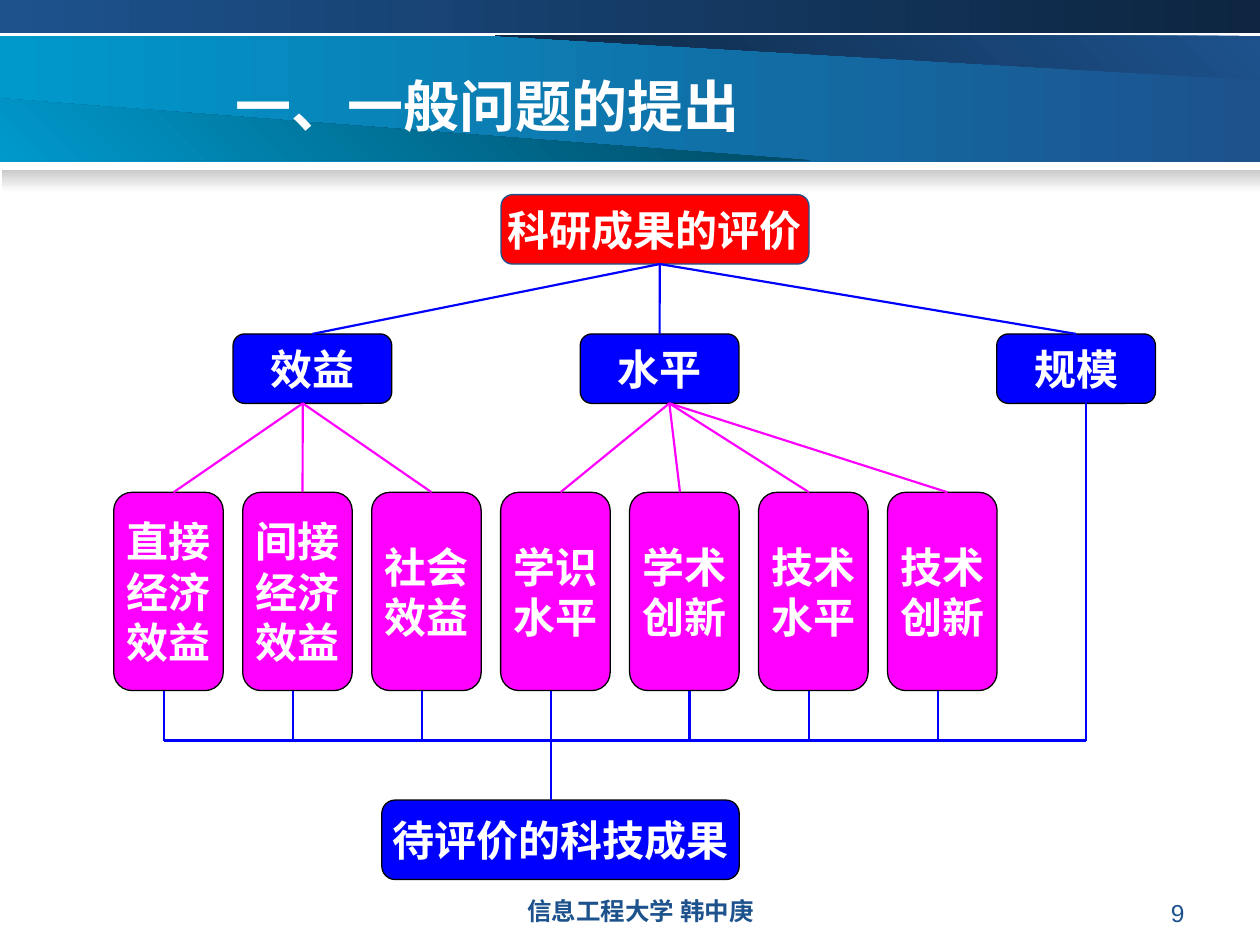
from dataclasses import dataclass
from typing import Any, Optional

from lxml.etree import SubElement
from pptx import Presentation
from pptx.dml.color import RGBColor
from pptx.enum.shapes import MSO_CONNECTOR, MSO_SHAPE
from pptx.enum.text import MSO_ANCHOR, PP_ALIGN
from pptx.oxml.ns import qn
from pptx.util import Pt


@dataclass(frozen=True)
class Theme:
    navy: str = "0D2540"
    blue: str = "1D528D"
    cyan: str = "0099CC"
    teal: str = "00465E"
    gray: str = "CACACA"
    white: str = "FFFFFF"
    off_white: str = "FEFEFE"
    black: str = "000000"
    red: str = "FF0000"
    strong_blue: str = "0000FF"
    magenta: str = "FF00FF"
    latin_font: str = "Arial"
    chinese_font: str = "Noto Sans CJK SC"
    title_size: float = 32
    box_size: float = 24
    footer_size: float = 14
    border_width: float = 0.75
    link_width: float = 1.25


@dataclass(frozen=True)
class Frame:
    left: float
    top: float
    width: float
    height: float

    @property
    def bottom(self) -> float:
        return self.top + self.height

    def lengths(self) -> list[Pt]:
        return [Pt(value) for value in (self.left, self.top, self.width, self.height)]


@dataclass(frozen=True)
class Gradient:
    start: str
    end: str
    angle: float


@dataclass(frozen=True)
class Band:
    frame: Frame
    gradient: Gradient


@dataclass(frozen=True)
class Wedge:
    points: list[tuple[float, float]]
    gradient: Gradient


@dataclass(frozen=True)
class Box:
    lines: list[str]
    frame: Frame
    fill: str
    border: str


@dataclass(frozen=True)
class Label:
    text: str
    frame: Frame
    size: float
    color: str
    font: str
    bold: bool
    alignment: PP_ALIGN


@dataclass(frozen=True)
class Leaf:
    lines: list[str]
    top_joint: float
    bottom_joint: float


THEME = Theme()
NEAR, FAR = 28.8, 34.2


def set_values(target: Any, values: dict[str, Any]) -> None:
    for name, value in values.items():
        setattr(target, name, value)


def fill_gradient(fill: Any, gradient: Gradient) -> None:
    fill.gradient()
    fill.gradient_angle = gradient.angle
    for stop, color, position in zip(fill.gradient_stops, (gradient.start, gradient.end), (0, 1)):
        stop.color.rgb = RGBColor.from_string(color)
        stop.position = position


def style_backdrop(shape: Any, gradient: Gradient) -> None:
    fill_gradient(shape.fill, gradient)
    shape.line.fill.background()
    shape.shadow.inherit = False


def draw_band(slide: Any, band: Band) -> None:
    style_backdrop(slide.shapes.add_shape(MSO_SHAPE.RECTANGLE, *band.frame.lengths()), band.gradient)


def draw_wedge(slide: Any, wedge: Wedge) -> None:
    first, *others = [(Pt(x), Pt(y)) for x, y in wedge.points]
    builder = slide.shapes.build_freeform(*first)
    builder.add_line_segments(others, close=True)
    style_backdrop(builder.convert_to_shape(), wedge.gradient)


def write_paragraph(paragraph: Any, text: str, alignment: PP_ALIGN, size: float,
                    color: str, font: str, bold: bool) -> None:
    paragraph.alignment = alignment
    run = paragraph.add_run()
    run.text = text
    set_values(run.font, {"name": font, "size": Pt(size), "bold": bold})
    run.font.color.rgb = RGBColor.from_string(color)
    SubElement(run._r.get_or_add_rPr(), qn("a:ea")).set("typeface", THEME.chinese_font)


def draw_label(slide: Any, label: Label) -> None:
    text_frame = slide.shapes.add_textbox(*label.frame.lengths()).text_frame
    text_frame.word_wrap = True
    write_paragraph(text_frame.paragraphs[0], label.text, label.alignment, label.size,
                    label.color, label.font, label.bold)


def draw_box(slide: Any, box: Box) -> Any:
    shape = slide.shapes.add_shape(MSO_SHAPE.FLOWCHART_ALTERNATE_PROCESS, *box.frame.lengths())
    shape.shadow.inherit = False
    shape.fill.solid()
    shape.fill.fore_color.rgb = RGBColor.from_string(box.fill)
    shape.line.color.rgb = RGBColor.from_string(box.border)
    shape.line.width = Pt(THEME.border_width)
    text_frame = shape.text_frame
    set_values(text_frame, {"word_wrap": False, "vertical_anchor": MSO_ANCHOR.MIDDLE})
    for index, line in enumerate(box.lines):
        paragraph = text_frame.add_paragraph() if index else text_frame.paragraphs[0]
        write_paragraph(paragraph, line, PP_ALIGN.CENTER, THEME.box_size,
                        THEME.white, THEME.latin_font, True)
    return shape


def draw_link(slide: Any, start: tuple[float, float], end: tuple[float, float],
              color: str, target: Optional[Any] = None) -> None:
    connector = slide.shapes.add_connector(
        MSO_CONNECTOR.STRAIGHT, *(Pt(value) for value in (*start, *end)))
    if target is not None:
        connector.end_connect(target, 0)
    connector.line.color.rgb = RGBColor.from_string(color)
    connector.line.width = Pt(THEME.link_width)
    SubElement(connector._element.spPr, qn("a:effectLst"))


def draw_backdrop(slide: Any) -> None:
    fill_gradient(slide.background.fill, Gradient(THEME.white, THEME.off_white, 270))
    draw_band(slide, Band(Frame(0, 20.4, 720, 72), Gradient(THEME.blue, THEME.cyan, 180)))
    draw_wedge(slide, Wedge([(283, 20.4), (720, 45.8), (720, 20.4)],
                            Gradient(THEME.blue, THEME.navy, 225)))
    draw_wedge(slide, Wedge([(0, 56.2), (463, 91.6), (0, 91.6)],
                            Gradient(THEME.teal, THEME.cyan, 225)))
    draw_band(slide, Band(Frame(0, 0, 720, 18.7), Gradient(THEME.navy, THEME.blue, 180)))
    draw_band(slide, Band(Frame(1, 97.2, 719, 12.2), Gradient(THEME.gray, THEME.off_white, 270)))


def draw_hierarchy(slide: Any) -> None:
    root = Frame(286.3, 111.2, 176, 39.7)
    root_joint, bus, bus_end = 377, 423.2, 620.8
    draw_box(slide, Box(["科研成果的评价"], root, THEME.red, THEME.blue))

    criteria = [Box([name], Frame(left, 190.8, 90.7, 39.7), THEME.strong_blue, THEME.black)
                for name, left in (("效益", 133.2), ("水平", 331.6), ("规模", 569.6))]
    for box in criteria:
        draw_link(slide, (root_joint, root.bottom), (box.frame.left, box.frame.top),
                  THEME.strong_blue, draw_box(slide, box))

    leaves = [
        Leaf(["直接", "经济", "效益"], FAR, NEAR),
        Leaf(["间接", "经济", "效益"], FAR, NEAR),
        Leaf(["社会", "效益"], FAR, NEAR),
        Leaf(["学识", "水平"], FAR, NEAR),
        Leaf(["学术", "创新"], NEAR, FAR),
        Leaf(["技术", "水平"], NEAR, NEAR),
        Leaf(["技术", "创新"], FAR, NEAR),
    ]
    result = Frame(218.2, 457.2, 204.2, 45.4)
    draw_box(slide, Box(["待评价的科技成果"], result, THEME.strong_blue, THEME.black))
    for index, leaf in enumerate(leaves):
        frame = Frame(65 + 73.7 * index, 281.3, 62.6, 113.3)
        draw_box(slide, Box(leaf.lines, frame, THEME.magenta, THEME.black))
        parent_joint = 173 if index < 3 else 382.5
        draw_link(slide, (parent_joint, criteria[0].frame.bottom),
                  (frame.left + leaf.top_joint, frame.top), THEME.magenta)
        stem = frame.left + leaf.bottom_joint
        stem_end = result.top if index == 3 else bus
        draw_link(slide, (stem, frame.bottom), (stem, stem_end), THEME.strong_blue)
    draw_link(slide, (65 + NEAR, bus), (bus_end, bus), THEME.strong_blue)
    draw_link(slide, (bus_end, criteria[2].frame.bottom), (bus_end, bus), THEME.strong_blue)


def main() -> None:
    presentation = Presentation()
    set_values(presentation, {"slide_width": Pt(720), "slide_height": Pt(540)})
    slide = presentation.slides.add_slide(presentation.slide_layouts[6])
    draw_backdrop(slide)
    draw_hierarchy(slide)
    for label in (
        Label("一、一般问题的提出", Frame(127.4, 37.4, 374.4, 59.8), THEME.title_size,
              THEME.white, THEME.chinese_font, True, PP_ALIGN.LEFT),
        Label("信息工程大学 韩中庚", Frame(252, 508.3, 228.2, 19.4), THEME.footer_size,
              THEME.blue, THEME.latin_font, True, PP_ALIGN.CENTER),
        Label("9", Frame(516.2, 509.8, 167.8, 19.4), THEME.footer_size,
              THEME.blue, THEME.latin_font, False, PP_ALIGN.RIGHT),
    ):
        draw_label(slide, label)
    presentation.save("out.pptx")


if __name__ == "__main__":
    main()
